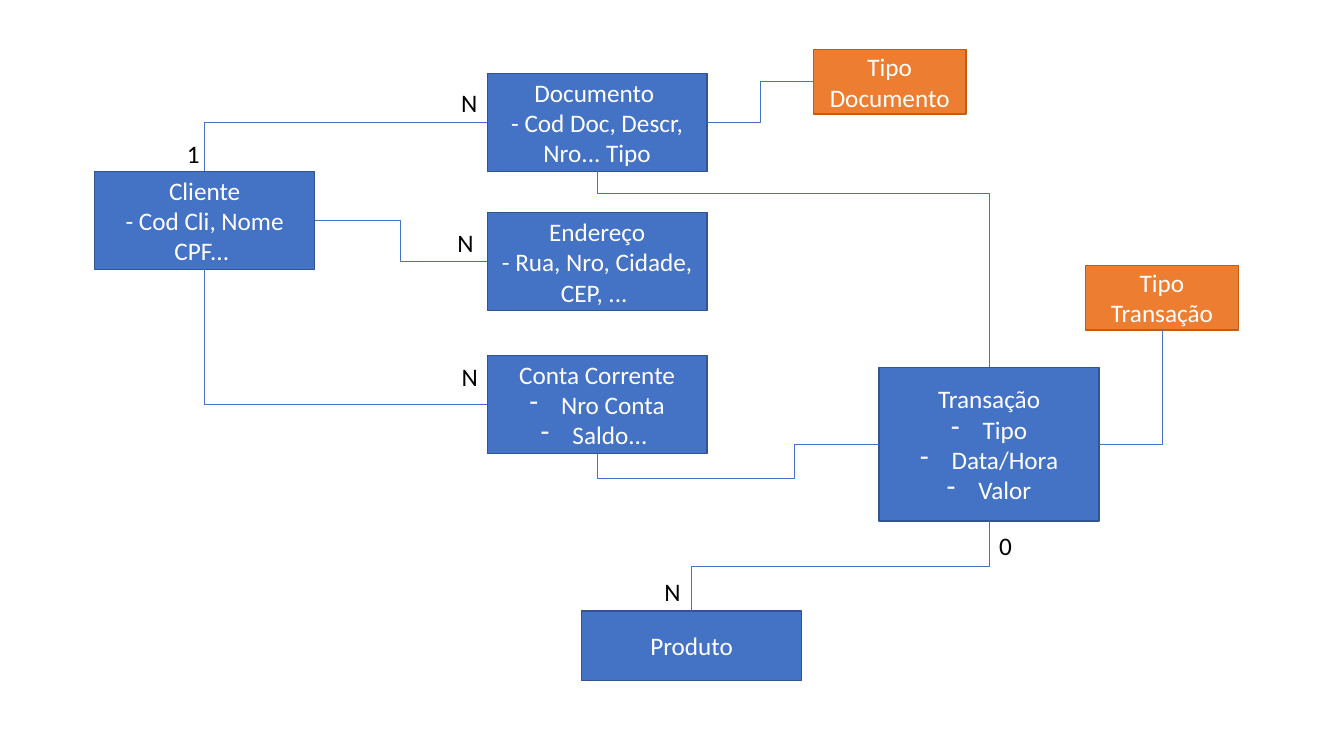
from lxml import etree
from pptx import Presentation
from pptx.dml.color import RGBColor
from pptx.enum import shapes, text
from pptx.oxml import ns
from pptx.util import Pt

BLUE, NAVY = RGBColor(0x44, 0x72, 0xC4), RGBColor(0x32, 0x54, 0x91)
ORANGE, RUST = RGBColor(0xED, 0x7D, 0x31), RGBColor(0xC5, 0x5A, 0x11)
WHITE, BLACK = RGBColor(0xFF, 0xFF, 0xFF), RGBColor(0, 0, 0)
FONT = {"name": "Calibri", "size": Pt(18)}
INDENT = 22.5
# x and y of each side's middle, as shares of width and height
SIDES = {"top": (0.5, 0), "left": (0, 0.5), "bottom": (0.5, 1), "right": (1, 0.5)}


def write(frame, lines, color):
    """Fill a text frame; a tuple of lines makes dash bullets."""
    frame.word_wrap = True
    for i, line in enumerate(lines):
        para = frame.paragraphs[0] if i == 0 else frame.add_paragraph()
        listed = isinstance(line, tuple)
        run = para.add_run()
        run.text = line[0] if listed else line
        for key, value in FONT.items():
            setattr(run.font, key, value)
        run.font.color.rgb = color
        if color == WHITE:
            para.alignment = text.PP_ALIGN.CENTER
        if listed:
            props = para._p.get_or_add_pPr()
            props.set("marL", str(Pt(INDENT)))
            props.set("indent", str(-Pt(INDENT)))
            etree.SubElement(props, ns.qn("a:buFontTx"))
            etree.SubElement(props, ns.qn("a:buChar")).set("char", "-")


def link(start, end, kind, bends=(), upright=True):
    """Draw an elbow line; an upright one leaves its start vertically."""
    (x1, y1), (x2, y2) = start, end
    if upright:  # lay the box on its side, then turn it by 90 degrees
        mx, my = (x1 + x2) / 2, (y1 + y2) / 2
        dx, dy = (x2 - x1) / 2, (y2 - y1) / 2
        x1, y1, x2, y2 = mx - dy, my + dx, mx + dy, my - dx
    line = slide.shapes.add_connector(
        shapes.MSO_CONNECTOR.ELBOW, Pt(x1), Pt(y1), Pt(x2), Pt(y2))
    line.line.color.rgb = BLUE
    line.line.width = Pt(0.5)
    props = line._element.spPr
    if upright:
        props.find(ns.qn("a:xfrm")).set("rot", "5400000")
    geom = props.find(ns.qn("a:prstGeom"))
    geom.set("prst", f"bentConnector{kind}")
    guides = geom.find(ns.qn("a:avLst"))
    if guides is None:
        guides = etree.SubElement(geom, ns.qn("a:avLst"))
    for i, bend in enumerate(bends, 1):
        guide = etree.SubElement(guides, ns.qn("a:gd"))
        guide.set("name", f"adj{i}" if kind != 2 else "adj")
        guide.set("fmla", f"val {round(bend * 100000)}")
    etree.SubElement(props, ns.qn("a:effectLst"))


deck = Presentation()
deck.slide_width, deck.slide_height = Pt(960), Pt(540)
slide = deck.slides.add_slide(deck.slide_layouts[6])

# Entities: left, top, width, height, fill, outline, lines
WIDE, TALL = 157, 70
SMALL = (109, 46.3, ORANGE, RUST)
boxes = {
    "client": (67.7, 122.5, WIDE, TALL, BLUE, NAVY,
               ["Cliente", "- Cod Cli, Nome CPF... "]),
    "paper": (348, 52.5, WIDE, TALL, BLUE, NAVY,
              ["Documento ", "- Cod Doc, Descr, Nro... Tipo"]),
    "address": (348, 152, WIDE, TALL, BLUE, NAVY,
                ["Endereço", "- Rua, Nro, Cidade, CEP, ... "]),
    "account": (348, 254, WIDE, TALL, BLUE, NAVY,
                ["Conta Corrente", ("Nro Conta",), ("Saldo... ",)]),
    "product": (415.5, 436.3, WIDE, 49.7, BLUE, NAVY, ["Produto"]),
    "deal": (628, 262.3, WIDE, 110, BLUE, NAVY,
             ["Transação", ("Tipo",), ("Data/Hora",), ("Valor",)]),
    "deal type": (775.5, 189.5, *SMALL, ["Tipo Transação"]),
    "paper type": (581, 35.3, *SMALL, ["Tipo Documento"]),
}
spots = {}
for name, (x, y, w, h, fill, edge, lines) in boxes.items():
    box = slide.shapes.add_shape(
        shapes.MSO_SHAPE.RECTANGLE, Pt(x), Pt(y), Pt(w), Pt(h))
    box.shadow.inherit = False
    box.fill.solid()
    box.fill.fore_color.rgb = fill
    box.line.color.rgb = edge
    box.line.width = Pt(1)
    box.text_frame.vertical_anchor = text.MSO_ANCHOR.MIDDLE
    write(box.text_frame, lines, WHITE)
    for side, (across, down) in SIDES.items():
        spots[name, side] = (x + w * across, y + h * down)

# Relations: start, end, elbow kind, bend shares, upright start
links = [
    (("client", "top"), ("paper", "left"), 2, (), True),
    (("client", "right"), ("address", "left"), 3, (0.5,), False),
    (("client", "bottom"), ("account", "left"), 2, (), True),
    (("deal", "bottom"), ("product", "top"), 3, (0.5,), True),
    (("account", "bottom"), ("deal", "left"), 4, (-2.7, 0.7), True),
    (("paper", "bottom"), ("deal", "top"), 3, (0.11,), True),
    (("deal type", "bottom"), ("deal", "right"), 2, (), True),
    (("paper type", "left"), ("paper", "right"), 3, (0.5,), False),
]
for start, end, kind, bends, upright in links:
    link(spots[start], spots[end], kind, bends, upright)

# Cardinalities: mark, left, top
marks = [("1", 126.3, 95.3), ("N", 322.2, 58.5), ("N", 319.6, 158.7),
         ("N", 322.7, 254.5), ("N", 467.5, 407.8), ("0", 706.5, 375.3)]
for mark, x, y in marks:
    note = slide.shapes.add_textbox(Pt(x), Pt(y), Pt(39.5), Pt(29))
    write(note.text_frame, [mark], BLACK)

deck.save("out.pptx")
